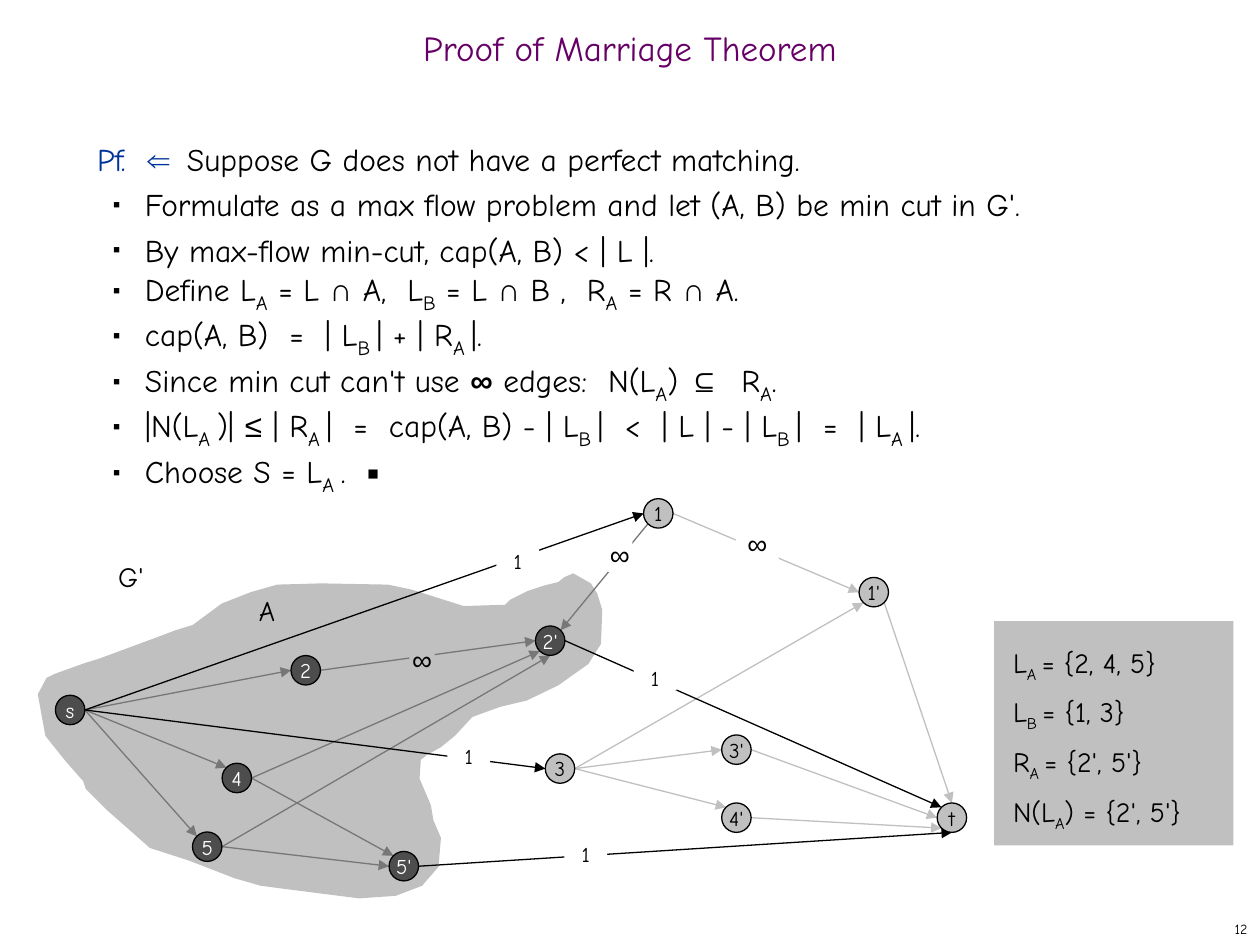
from dataclasses import dataclass
from math import cos, radians, sin

from lxml import etree
from pptx import Presentation
from pptx.dml.color import RGBColor
from pptx.enum.shapes import MSO_CONNECTOR, MSO_SHAPE
from pptx.enum.text import MSO_ANCHOR, MSO_AUTO_SIZE, PP_ALIGN
from pptx.oxml.ns import qn
from pptx.util import Inches, Pt

LEFT, CENTER, RIGHT = PP_ALIGN.LEFT, PP_ALIGN.CENTER, PP_ALIGN.RIGHT
TOP, MIDDLE = MSO_ANCHOR.TOP, MSO_ANCHOR.MIDDLE
OVAL, RECTANGLE = MSO_SHAPE.OVAL, MSO_SHAPE.RECTANGLE
STRAIGHT, NO_AUTOSIZE = MSO_CONNECTOR.STRAIGHT, MSO_AUTO_SIZE.NONE

COLUMNS, ROWS = 100, 75
CELL = Inches(10) // COLUMNS
RADIUS = 1.17
INSETS = (1, 0.5)


@dataclass(frozen=True)
class Theme:
    """Colours, fonts and type sizes of the slide."""
    title: str = "660066"
    accent: str = "003399"
    ink: str = "000000"
    paper: str = "FFFFFF"
    light: str = "C0C0C0"
    medium: str = "777777"
    dark: str = "4D4D4D"
    font: str = "Comic Neue"
    symbol_font: str = "Arial"
    title_size: int = 20
    body_size: int = 18
    body_subscript: int = 20
    note_size: int = 16
    node_size: int = 12
    number_size: int = 8


THEME = Theme()


@dataclass(frozen=True)
class Piece:
    """A stretch of text with its own formatting."""
    text: str
    font: str = THEME.font
    baseline: int = 0
    bold: bool = False
    color: str = THEME.ink


def subscript(text):
    """Return a lowered piece."""
    return Piece(text, baseline=-25000)


def symbol(text, **style):
    """Return a piece in the symbol font."""
    return Piece(text, THEME.symbol_font, **style)


SUB_A, SUB_B = subscript("A"), subscript("B")
THIN = Piece(" ", baseline=30000)
CAP = symbol("∩")
INFINITY = symbol("∞")

HEADING = [Piece("Pf.  ", color=THEME.accent), symbol("⇐  ", color=THEME.accent),
           "Suppose G does not have a perfect matching."]
STEPS = [
    ["Formulate as a max flow problem and let (A, B) be min cut in G'."],
    ["By max-flow min-cut, cap(A, B) < | L |."],
    ["Define L", SUB_A, " = L ", CAP, " A,  L", SUB_B, " = L ", CAP, " B ,  R", SUB_A,
     " = R ", CAP, " A."],
    ["cap(A, B)  =  | L", SUB_B, THIN, "| + | R", SUB_A, THIN, "|."],
    ["Since min cut can't use ", symbol("∞", bold=True), " edges:  N(L", SUB_A, ") ",
     symbol("⊆"), "  R", SUB_A, "."],
    ["|N(L", subscript("A "), ")| ", symbol("≤"), " | R", SUB_A, THIN,
     "|  =  cap(A, B) - | L", SUB_B, THIN, "|  <  | L | - | L", SUB_B, THIN,
     "|  =  | L", SUB_A, THIN, "|."],
    ["Choose S = L", subscript("A "), ".  ▪"],
]
SETS = [
    ["L", subscript("A "), "= {2, 4, 5}"],
    ["L", subscript("B "), "= {1, 3}"],
    ["R", subscript("A "), "= {2', 5'}"],
    ["N(L", SUB_A, ") = {2', 5'}"],
]

INSIDE = {"s": (5.57, 56.35), "2": (24.27, 53.2), "4": (18.8, 61.75), "5": (16.45, 67.2),
          "2'": (43.67, 50.85), "5'": (32.05, 68.75)}
OUTSIDE = {"1": (52.25, 40.75), "3": (44.45, 61), "1'": (69.35, 47),
           "3'": (58.45, 59.5), "4'": (58.45, 64.9), "t": (75.55, 64.9)}
NODES = INSIDE | OUTSIDE
ANGLES = {"E": 0, "SE": 45, "S": 90, "SW": 135, "W": 180, "NW": 225, "N": 270, "NE": 315}
EDGES = {
    THEME.medium: ["s E 2 W", "s E 4 NW", "s E 5 NW", "2 E 2' W", "4 E 2' SW", "5 E 2' S",
                   "4 E 5' NW", "5 E 5' W", "1 SW 2' NE"],
    THEME.light: ["3 E 1' SW", "3 E 3' W", "3 E 4' NW", "1 E 1' W", "1' SE t N",
                  "3' E t W", "4' E t SW"],
    THEME.ink: ["s E 1 W", "s E 3 W", "2' E t NW", "5' E t S"],
}
CUT = [
    (45.5, 45.5), (46.9, 46.3), (47.4, 47.1), (47.8, 48.4), (47.7, 51.1), (46.7, 52.7),
    (44.3, 54.4), (41.8, 55.6), (39.7, 56.1), (37.5, 56.9), (36.1, 58.4), (35, 59.3),
    (33.9, 59.9), (33.4, 60.3), (33.3, 61.8), (34.2, 63.9), (34.4, 65.1), (35, 66.5),
    (34.8, 68.8), (33.5, 70.3), (31.4, 71.1), (28.5, 71.3), (23, 70.6), (20.7, 70.3),
    (18.6, 69.7), (15, 68.3), (11.9, 67.3), (8.5, 64.3), (6.8, 62.6), (6.6, 62),
    (5.2, 60.4), (3.6, 58.4), (3, 55.1), (3.7, 53.8), (4.3, 53.5), (6.8, 52.6),
    (7.8, 52.3), (12.4, 50.6), (14, 50), (15.3, 49.6), (17.6, 47.9), (19.9, 47),
    (22, 46.4), (25.5, 46.3), (30.8, 46.4), (32.7, 46.8), (36.8, 48.1), (40.1, 48),
    (40.5, 47.6), (41.9, 46.9), (43.1, 46.5), (44.3, 46.2), (44.8, 45.8),
]


def cells(*lengths):
    """Turn grid lengths into slide units."""
    return [round(length * CELL) for length in lengths]


def place(shape, left, top, width, height):
    """Set a shape's frame in grid cells."""
    shape.left, shape.top, shape.width, shape.height = cells(left, top, width, height)


def set_frame(shape, insets=INSETS, anchor=TOP, wrap=True):
    """Prepare the text frame of a shape and return it."""
    frame = shape.text_frame
    frame.auto_size, frame.word_wrap, frame.vertical_anchor = NO_AUTOSIZE, wrap, anchor
    frame.margin_left = frame.margin_right = cells(insets[0])[0]
    frame.margin_top = frame.margin_bottom = cells(insets[1])[0]
    return frame


def add_runs(paragraph, pieces, size, subscript_size=None):
    """Add each piece to the paragraph as a formatted run."""
    for item in pieces:
        piece = Piece(item) if isinstance(item, str) else item
        run = paragraph.add_run()
        run.text = piece.text
        run.font.name, run.font.bold = piece.font, piece.bold
        run.font.size = Pt(subscript_size if subscript_size and piece.baseline < 0 else size)
        run.font.color.rgb = RGBColor.from_string(piece.color)
        if piece.baseline:
            run.font._element.set("baseline", str(piece.baseline))


def set_bullet(paragraph, bulleted):
    """Give the paragraph a small square bullet, or none."""
    properties = paragraph._p.get_or_add_pPr()
    margin, indent = cells(3.8, -2.5) if bulleted else (0, 0)
    properties.set("marL", str(margin))
    properties.set("indent", str(indent))
    if not bulleted:
        etree.SubElement(properties, qn("a:buNone"))
        return
    color = etree.SubElement(properties, qn("a:buClr"))
    etree.SubElement(color, qn("a:srgbClr"), val=THEME.ink)
    etree.SubElement(properties, qn("a:buSzPct"), val="35000")
    etree.SubElement(properties, qn("a:buFont"), typeface=THEME.symbol_font)
    etree.SubElement(properties, qn("a:buChar"), char="■")


def fill_title(slide):
    """Write the title placeholder."""
    title = slide.shapes.title
    place(title, 0, 1.7, COLUMNS, 5)
    paragraph = set_frame(title, anchor=MIDDLE).paragraphs[0]
    paragraph.alignment, paragraph.line_spacing = CENTER, 0.7
    add_runs(paragraph, [Piece("Proof of Marriage Theorem", color=THEME.title)],
             THEME.title_size)


def fill_body(slide):
    """Write the proof into the body placeholder."""
    body = slide.placeholders[1]
    place(body, 6.7, 10, 85.8, 59.2)
    frame = set_frame(body)
    for index, pieces in enumerate([HEADING, *STEPS]):
        paragraph = frame.add_paragraph() if index else frame.paragraphs[0]
        paragraph.level = min(index, 1)
        set_bullet(paragraph, index > 0)
        paragraph.line_spacing, paragraph.space_before = Pt(26), Pt(0)
        add_runs(paragraph, pieces, THEME.body_size, THEME.body_subscript)


def paint(shape, fill, outline=None):
    """Fill a shape, outline it if asked, and drop its shadow."""
    shape.shadow.inherit = False
    shape.fill.solid()
    shape.fill.fore_color.rgb = RGBColor.from_string(fill)
    if outline:
        shape.line.color.rgb = RGBColor.from_string(outline)
        shape.line.width = Pt(0.75)
    else:
        shape.line.fill.background()


def add_cut(slide):
    """Draw the region of the cut that holds the source."""
    points = [cells(*point) for point in CUT]
    builder = slide.shapes.build_freeform(*points[0])
    builder.add_line_segments(points[1:], close=True)
    paint(builder.convert_to_shape(), THEME.light)


def rim_point(name, direction):
    """Return the point on a node's rim in a compass direction."""
    column, row = NODES[name]
    angle = radians(ANGLES[direction])
    return cells(column + RADIUS * cos(angle), row + RADIUS * sin(angle))


def add_edge(slide, edge, color):
    """Draw an arrow between two nodes."""
    source, start, target, end = edge.split()
    connector = slide.shapes.add_connector(
        STRAIGHT, *rim_point(source, start), *rim_point(target, end))
    connector.line.color.rgb = RGBColor.from_string(color)
    connector.line.width = Pt(0.75)
    properties = connector._element.spPr
    etree.SubElement(properties.find(qn("a:ln")), qn("a:tailEnd"), type="triangle")
    etree.SubElement(properties, qn("a:effectLst"))


def add_node(slide, name):
    """Draw a labelled node on its side of the cut."""
    column, row = NODES[name]
    fill, ink = (THEME.dark, THEME.paper) if name in INSIDE else (THEME.light, THEME.ink)
    node = slide.shapes.add_shape(
        OVAL, *cells(column - RADIUS, row - RADIUS, 2 * RADIUS, 2 * RADIUS))
    paint(node, fill, THEME.ink)
    paragraph = set_frame(node, anchor=MIDDLE, wrap=False).paragraphs[0]
    paragraph.alignment = CENTER
    add_runs(paragraph, [Piece(name, color=ink)], THEME.node_size)


def add_label(slide, frame, piece, size, fill=None, alignment=CENTER, **layout):
    """Add a one-line label, on a patch of colour if asked."""
    if fill:
        label = slide.shapes.add_shape(RECTANGLE, *cells(*frame))
        paint(label, fill)
    else:
        label = slide.shapes.add_textbox(*cells(*frame))
    paragraph = set_frame(label, **layout).paragraphs[0]
    paragraph.alignment = alignment
    add_runs(paragraph, [piece], size)


def add_sets(slide):
    """Add the panel that lists the vertex sets."""
    panel = slide.shapes.add_shape(RECTANGLE, *cells(78.9, 49.3, 19, 17.8))
    paint(panel, THEME.light)
    paragraph = set_frame(panel, (1.5, 1)).paragraphs[0]
    paragraph.alignment, paragraph.line_spacing = LEFT, 1.3
    for index, pieces in enumerate(SETS):
        if index:
            paragraph.add_line_break()
        add_runs(paragraph, pieces, THEME.note_size)


def add_labels(slide):
    """Add capacities, region names and the slide number."""
    flush = (0, 0)
    for left, top in [(39.4, 43.5), (35.5, 59), (44.8, 66.8), (50.3, 52.8)]:
        add_label(slide, (left, top, 3.4, 2), "1", THEME.node_size, THEME.paper, insets=flush)
    for left, top, width, fill in [(58.4, 41.8, 3.4, THEME.paper), (48.2, 42.7, 2, THEME.paper),
                                   (32.5, 51, 2, THEME.light)]:
        add_label(slide, (left, top, width, 2.7), INFINITY, THEME.note_size, fill, insets=flush)
    add_label(slide, (19.5, 47.1, 3.4, 2.7), "A", THEME.note_size, insets=flush)
    add_label(slide, (8.4, 43.9, 4, 3.7), "G'", THEME.note_size, alignment=LEFT, wrap=False)
    add_label(slide, (79.2, 72.5, 20.8, 2.5), "12", THEME.number_size,
              alignment=RIGHT, anchor=MIDDLE)


def main():
    """Build and save the slide."""
    presentation = Presentation()
    presentation.slide_width, presentation.slide_height = COLUMNS * CELL, ROWS * CELL
    slide = presentation.slides.add_slide(presentation.slide_layouts[1])
    fill_body(slide)
    fill_title(slide)
    add_sets(slide)
    add_cut(slide)
    for color, edges in EDGES.items():
        for edge in edges:
            add_edge(slide, edge, color)
    for name in NODES:
        add_node(slide, name)
    add_labels(slide)
    presentation.save("out.pptx")


if __name__ == "__main__":
    main()
